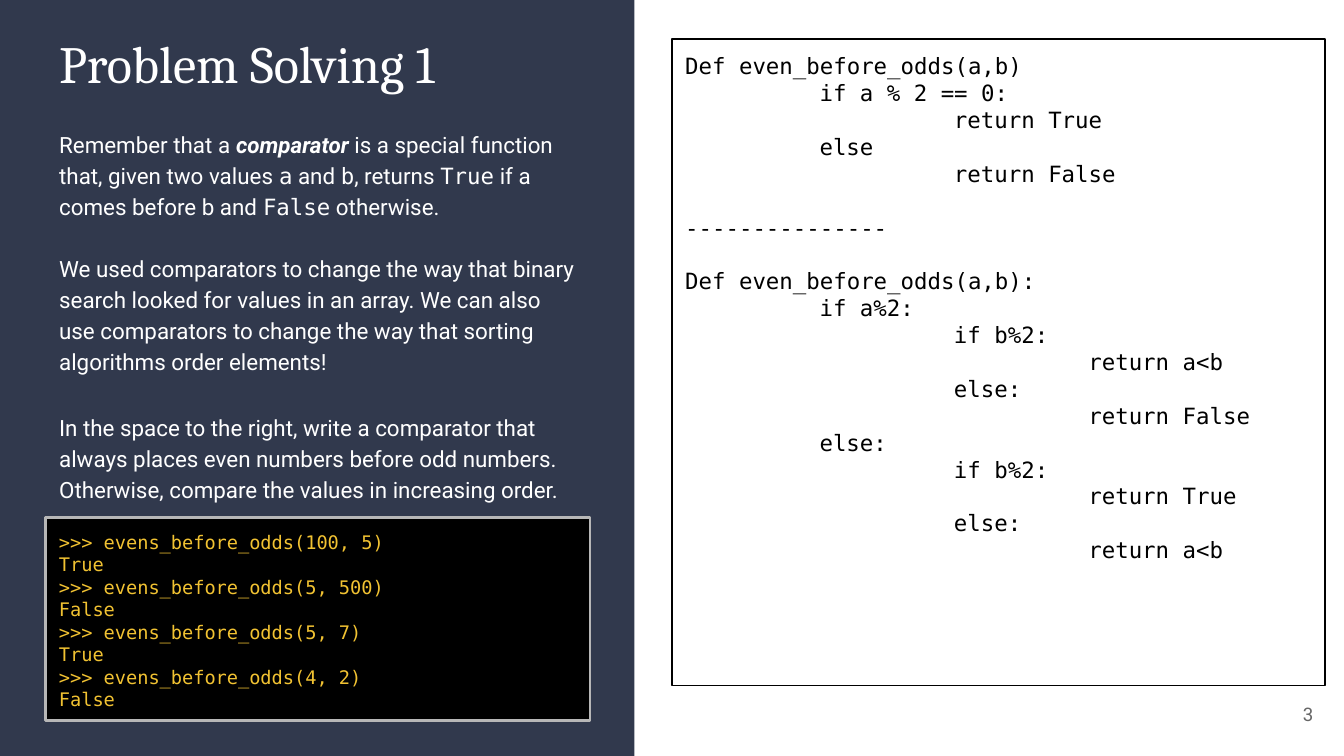
"""Build a slide on comparators with a code panel and a sample console."""
from lxml import etree
from pptx import Presentation
from pptx.dml.color import RGBColor
from pptx.enum.shapes import MSO_SHAPE
from pptx.enum.text import MSO_ANCHOR, MSO_AUTO_SIZE, PP_ALIGN
from pptx.oxml.ns import qn
from pptx.util import Inches, Pt

RECT = MSO_SHAPE.RECTANGLE
TOP, MIDDLE = MSO_ANCHOR.TOP, MSO_ANCHOR.MIDDLE
LEFT, RIGHT = PP_ALIGN.LEFT, PP_ALIGN.RIGHT
NO_FIT = MSO_AUTO_SIZE.NONE
SERIF, SANS, MONO = "Cambria", "Roboto", "DejaVu Sans Mono"
WHITE, BLACK, NAVY, GOLD = "FFFFFF", "000000", "31394D", "F1C232"

WIDTH = 10
HEIGHT = WIDTH * 9 / 16
COL = 0.34
COL_W = 4.05
INSET = 0.1
STEP = 1

TITLE = "Problem Solving 1"
BODY = [
    ([("Remember that a ", ""), ("comparator ", "strong"),
      ("is a special function that, given two values ", ""), ("a", "code"),
      (" and ", ""), ("b", "code"), (", returns ", ""), ("True", "code"),
      (" if a comes before b and ", ""), ("False", "code"),
      (" otherwise.", "")], 16.8),
    ([("We used comparators to change the way that binary search looked for "
       "values in an array. We can also use comparators to change the way "
       "that sorting algorithms order elements!", "")], 19),
    ([("In the space to the right, write a comparator that always places even "
       "numbers before odd numbers. Otherwise, compare the values in "
       "increasing order.", "")], 0),
]
RULE = "---------------"
CODE = [
    (0, "Def even_before_odds(a,b)"),
    (1, "if a % 2 == 0:"),
    (2, "return True"),
    (1, "else"),
    (2, "return False"),
    (0, RULE),
    (0, "Def even_before_odds(a,b):"),
    (1, "if a%2:"),
    (2, "if b%2:"),
    (3, "return a<b"),
    (2, "else:"),
    (3, "return False"),
    (1, "else:"),
    (2, "if b%2:"),
    (3, "return True"),
    (2, "else:"),
    (3, "return a<b"),
]
CALLS = [("100, 5", "True"), ("5, 500", "False"),
         ("5, 7", "True"), ("4, 2", "False")]


def color(code):
    """Turn a hex string into a colour."""
    return RGBColor.from_string(code)


def place(shape, left, top, width, height):
    """Move and size a shape in inches."""
    shape.left, shape.top = Inches(left), Inches(top)
    shape.width, shape.height = Inches(width), Inches(height)


def style(run, font, size, tint):
    """Set the font, size and colour of a run."""
    run.font.name = font
    run.font.size = Pt(size)
    run.font.color.rgb = color(tint)


def frame(shape, anchor=TOP):
    """Prepare the text frame of a shape."""
    text = shape.text_frame
    text.word_wrap = True
    text.auto_size = NO_FIT
    text.vertical_anchor = anchor
    text.margin_left = text.margin_right = Inches(INSET)
    text.margin_top = text.margin_bottom = Inches(INSET)
    return text


def write(text, lines, font, size, tint, align=LEFT):
    """Fill a frame with (level, line) pairs, one paragraph each."""
    text.text = "\n".join(line for _, line in lines)
    for para, (level, _) in zip(text.paragraphs, lines):
        para.alignment = align
        para._p.get_or_add_pPr().set("marL", str(Inches(level * STEP)))
        for run in para.runs:
            style(run, font, size, tint)


def panel(slide, box, fill=None, line=None, weight=0):
    """Add a flat rectangle."""
    shape = slide.shapes.add_shape(RECT, *map(Inches, box))
    shape.shadow.inherit = False
    if fill:
        shape.fill.solid()
        shape.fill.fore_color.rgb = color(fill)
    else:
        shape.fill.background()
    if line:
        shape.line.color.rgb = color(line)
        shape.line.width = Pt(weight)
    else:
        shape.line.fill.background()
    return shape


def fill_body(text):
    """Write the body paragraphs with their mixed runs."""
    for i, (parts, gap) in enumerate(BODY):
        para = text.add_paragraph() if i else text.paragraphs[0]
        para.line_spacing = 1.15
        para.space_before, para.space_after = Pt(0), Pt(gap)
        props = para._p.get_or_add_pPr()
        props.set("marL", "0")
        props.set("indent", "0")
        etree.SubElement(props, qn("a:buNone"))
        for words, kind in parts:
            run = para.add_run()
            run.text = words
            style(run, MONO if kind == "code" else SANS, 12, WHITE)
            run.font.bold = run.font.italic = kind == "strong"


def main():
    """Build and save the slide."""
    deck = Presentation()
    deck.slide_width, deck.slide_height = Inches(WIDTH), Inches(HEIGHT)
    slide = deck.slides.add_slide(deck.slide_layouts[1])
    title, body = slide.placeholders

    side = panel(slide, (0, 0, 4.72, HEIGHT), NAVY)
    title._element.addprevious(side._element)

    place(title, COL, 0.13, COL_W, 0.7)
    write(frame(title), [(0, TITLE)], SERIF, 28, WHITE)
    place(body, COL, 0.91, COL_W, 2.87)
    fill_body(frame(body, MIDDLE))

    number = slide.shapes.add_textbox(*map(Inches, (9.27, 5.1, 0.6, 0.43)))
    write(frame(number, MIDDLE), [(0, "3")], SANS, 10, "666666", RIGHT)

    code = panel(slide, (5, 0.29, 4.86, 4.81), line=BLACK, weight=0.75)
    text = frame(code)
    write(text, CODE, MONO, 12, BLACK)
    for para in text.paragraphs:
        if para.text == RULE:
            para.space_before = para.space_after = Pt(14.4)

    shell = panel(slide, (COL, 3.85, COL_W, 1.51), BLACK, "B7B7B7", 1.5)
    lines = [(0, line) for args, answer in CALLS
             for line in (f">>> evens_before_odds({args})", answer)]
    write(frame(shell), lines, MONO, 10, GOLD)

    deck.save("out.pptx")


if __name__ == "__main__":
    main()
